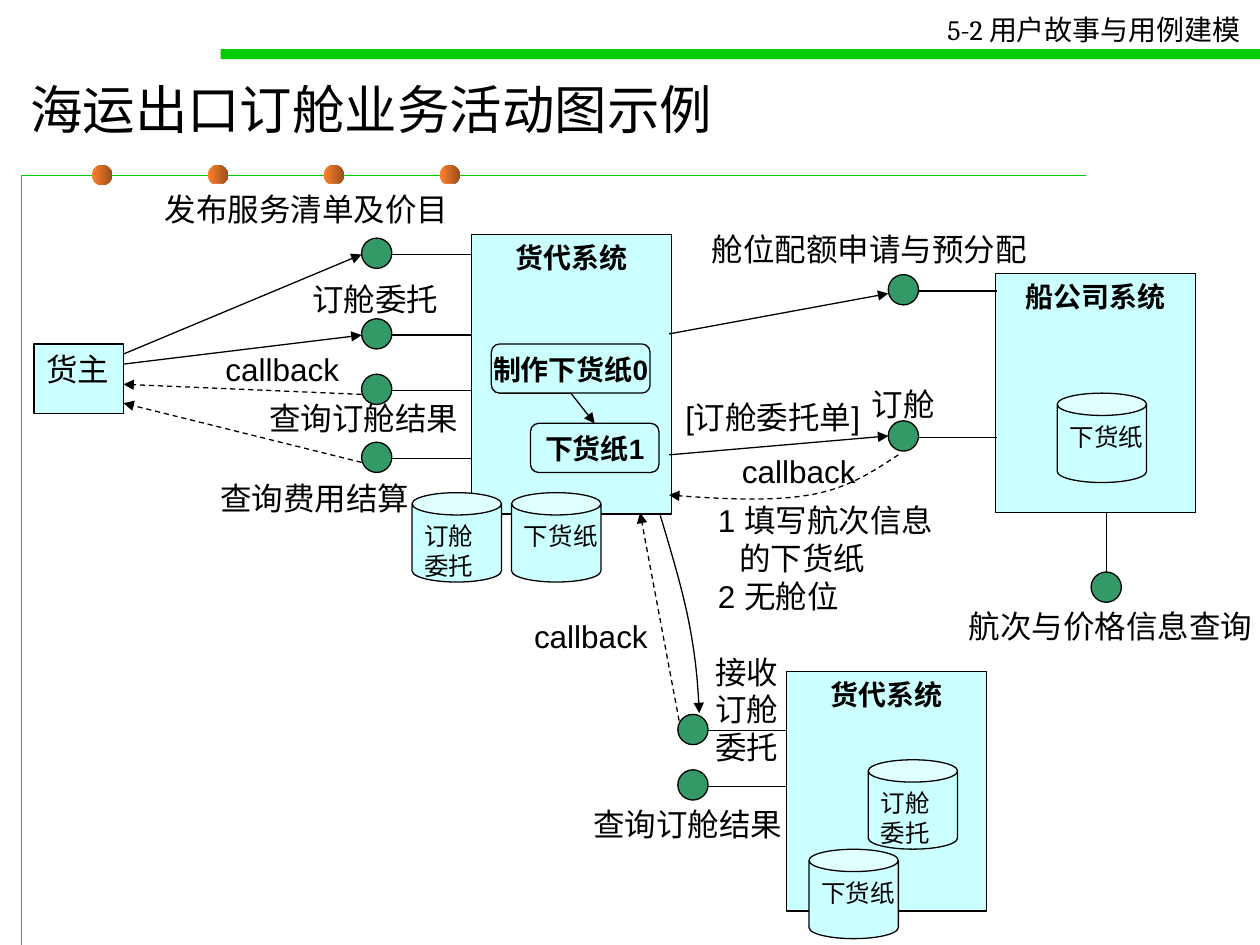
from lxml.etree import SubElement
from pptx import Presentation
from pptx.dml.color import RGBColor
from pptx.enum.dml import MSO_LINE
from pptx.enum.shapes import MSO_CONNECTOR, MSO_SHAPE
from pptx.enum.text import MSO_ANCHOR, PP_ALIGN
from pptx.oxml.ns import qn
from pptx.util import Inches, Pt

COLORS = {
    "black": "000000", "white": "FFFFFF", "rule": "00CC00", "box": "CCFFFF",
    "port": "339966", "dot_light": "FF822D", "dot_dark": "9B4F1B",
}
PORT = 0.24
CAN = 0.71


def rgb(name):
    return RGBColor.from_string(COLORS[name])


class Diagram:
    def __init__(self, slide, font="Arial"):
        self.shapes = slide.shapes
        self.font = font

    def set_text(self, sp, text, size, bold=False, align=PP_ALIGN.LEFT, wrap=False, font=None):
        tf = sp.text_frame
        tf.word_wrap = wrap
        tf.vertical_anchor = MSO_ANCHOR.TOP
        for i, line in enumerate(text.split("\n")):
            p = tf.add_paragraph() if i else tf.paragraphs[0]
            p.text = line
            p.alignment = align
            p.font.name = font or self.font
            p.font.size = Pt(size)
            p.font.bold = bold
            p.font.color.rgb = rgb("black")

    def stroke(self, sp, color="black", dashed=False, arrow=False):
        sp.line.color.rgb = rgb(color)
        sp.line.width = Pt(0.75)
        if dashed:
            sp.line.dash_style = MSO_LINE.DASH
        if arrow:
            ln = sp._element.spPr.find(qn("a:ln"))
            SubElement(ln, qn("a:tailEnd"), type="triangle")

    def shape(self, kind, x, y, w, h, fill, outlined=True):
        sp = self.shapes.add_shape(kind, Inches(x), Inches(y), Inches(w), Inches(h))
        sp.shadow.inherit = False
        sp.fill.solid()
        sp.fill.fore_color.rgb = rgb(fill)
        if outlined:
            self.stroke(sp)
        else:
            sp.line.fill.background()
        return sp

    def label(self, text, x, y, w, h=0.4, size=18, **style):
        sp = self.shapes.add_textbox(Inches(x), Inches(y), Inches(w), Inches(h))
        self.set_text(sp, text, size, **style)
        return sp

    def system(self, text, x, y, w, h):
        sp = self.shape(MSO_SHAPE.RECTANGLE, x, y, w, h, "box")
        self.set_text(sp, text, 16, bold=True, align=PP_ALIGN.CENTER)

    def activity(self, text, x, y, w):
        sp = self.shape(MSO_SHAPE.ROUNDED_RECTANGLE, x, y, w, 0.39, "box")
        self.set_text(sp, text, 16, bold=True, align=PP_ALIGN.CENTER)
        return sp

    def store(self, text, x, y):
        self.set_text(self.shape(MSO_SHAPE.CAN, x, y, CAN, CAN, "box"), text, 14)

    def port(self, x, y):
        self.shape(MSO_SHAPE.OVAL, x, y, PORT, PORT, "port")

    def side_port(self, x, y, edge):
        self.port(x, y)
        self.line((x + PORT, y + 0.13), (edge, y + 0.13))

    def line(self, start, end, dashed=False, arrow=False):
        c = self.shapes.add_connector(MSO_CONNECTOR.STRAIGHT, *map(Inches, start + end))
        SubElement(c._element.spPr, qn("a:effectLst"))
        self.stroke(c, dashed=dashed, arrow=arrow)
        return c

    def polyline(self, points, color="black", **style):
        start, *rest = [(Inches(x), Inches(y)) for x, y in points]
        fb = self.shapes.build_freeform(*start)
        fb.add_line_segments(rest, close=False)
        sp = fb.convert_to_shape()
        sp.shadow.inherit = False
        sp.fill.background()
        self.stroke(sp, color, **style)
        return sp

    def curve(self, points, **style):
        """Bezier curve: a start, then two controls and an end per segment."""
        sp = self.polyline(points, **style)
        segments = list(sp._element.iter(qn("a:lnTo")))
        for i in range(0, len(segments), 3):
            first, *others = segments[i:i + 3]
            first.tag = qn("a:cubicBezTo")
            for seg in others:
                first.append(seg[0])
                seg.getparent().remove(seg)

    def dot(self, x, y):
        sp = self.shape(MSO_SHAPE.OVAL, x, y, 0.16, 0.16, "dot_light", outlined=False)
        sp.fill.gradient()
        sp.fill.gradient_angle = 0
        for stop, name in zip(sp.fill.gradient_stops, ("dot_light", "dot_dark")):
            stop.color.rgb = rgb(name)


def main():
    prs = Presentation()
    prs.slide_width, prs.slide_height = Inches(10), Inches(7.5)
    d = Diagram(prs.slides.add_slide(prs.slide_layouts[6]))

    # Page frame, header and title
    d.polyline([(0.17, 7.5), (0.17, 1.39), (8.62, 1.39)], "rule")
    for i in range(4):
        d.dot(0.73 + i * 0.92, 1.31)
    d.shape(MSO_SHAPE.RECTANGLE, 1.75, 0.39, 8.25, 0.08, "rule", outlined=False)
    d.label("5-2 用户故事与用例建模", 7.42, 0.05, 2.62, 0.37, 16, font="Cambria")
    d.label("海运出口订舱业务活动图示例", 0.14, 0.56, 9.29, 0.71, 30, font="Cambria", wrap=True)

    # Shipper and systems
    shipper = d.shape(MSO_SHAPE.RECTANGLE, 0.27, 2.73, 0.71, 0.55, "box")
    d.set_text(shipper, "货主", 18)
    d.system("货代系统", 3.74, 1.86, 1.59, 2.22)
    d.system("船公司系统", 7.9, 2.17, 1.59, 1.9)
    d.system("货代系统", 6.24, 5.33, 1.59, 1.9)

    # Data stores
    for text, x, y in [
        ("下货纸", 8.39, 3.12), ("下货纸", 6.42, 6.74), ("订舱\n委托", 6.89, 6.03),
        ("下货纸", 4.06, 3.91), ("订舱\n委托", 3.27, 3.91),
    ]:
        d.store(text, x, y)

    # Activities
    make = d.activity("制作下货纸0", 3.9, 2.73, 1.26)
    result = d.activity("下货纸1", 4.21, 3.36, 1.02)
    flow = d.line((4.53, 3.12), (4.72, 3.36), arrow=True)
    flow.begin_connect(make, 2)
    flow.end_connect(result, 0)

    # Interface ports
    for x, edge, tops in [
        (2.87, 3.74, (1.89, 2.53, 2.97, 3.51)),
        (7.05, 7.91, (2.18, 3.34)),
        (5.38, 6.24, (5.67, 6.11)),
    ]:
        for y in tops:
            d.side_port(x, y, edge)
    d.port(8.66, 4.54)
    d.line((8.78, 4.07), (8.78, 4.54))

    # Calls (solid) and callbacks (dashed)
    for start, end, dashed in [
        ((0.98, 2.81), (2.87, 2.02), False),
        ((0.98, 2.89), (2.87, 2.66), False),
        ((2.87, 3.13), (0.98, 3.05), True),
        ((2.87, 3.67), (0.98, 3.2), True),
        ((5.31, 2.65), (7.05, 2.33), False),
        ((5.31, 3.61), (7.05, 3.46), False),
        ((5.39, 5.72), (5.08, 4.07), True),
    ]:
        d.line(start, end, dashed, arrow=True)
    d.curve([(7.13, 3.61), (6.92, 3.75), (6.72, 3.88), (6.42, 3.93),
             (6.11, 3.98), (5.71, 3.96), (5.31, 3.93)], dashed=True, arrow=True)
    d.curve([(5.24, 4.09), (5.33, 4.39), (5.42, 4.69), (5.47, 4.95),
             (5.52, 5.21), (5.54, 5.44), (5.55, 5.66)], arrow=True)

    # Labels
    publish = d.shape(MSO_SHAPE.RECTANGLE, 1.21, 1.46, 2.45, 0.4, "white", outlined=False)
    d.set_text(publish, "发布服务清单及价目", 18)
    for text, x, y, w in [
        ("订舱委托", 2.38, 2.17, 1.2), ("查询订舱结果", 2.04, 3.12, 1.7),
        ("查询费用结算", 1.65, 3.75, 1.7), ("订舱", 6.82, 3.01, 0.7),
        ("[订舱委托单]", 5.34, 3.11, 1.71), ("查询订舱结果", 4.61, 6.34, 1.7),
        ("舱位配额申请与预分配", 5.55, 1.78, 2.7), ("航次与价格信息查询", 7.59, 4.77, 2.45),
        ("callback", 5.79, 3.54, 1.1), ("callback", 4.14, 4.85, 1.1),
        ("callback", 1.69, 2.73, 1.1),
    ]:
        d.label(text, x, y, w)
    d.label("接收\n订舱\n委托", 5.58, 5.13, 0.7, 1)
    replies = d.label("1 填写航次信息\n的下货纸\n2 无舱位", 5.6, 3.93, 1.97, 1)
    pPr = replies.text_frame.paragraphs[1]._p.get_or_add_pPr()
    pPr.set("marL", str(Inches(0.17)))

    prs.save("out.pptx")


if __name__ == "__main__":
    main()
